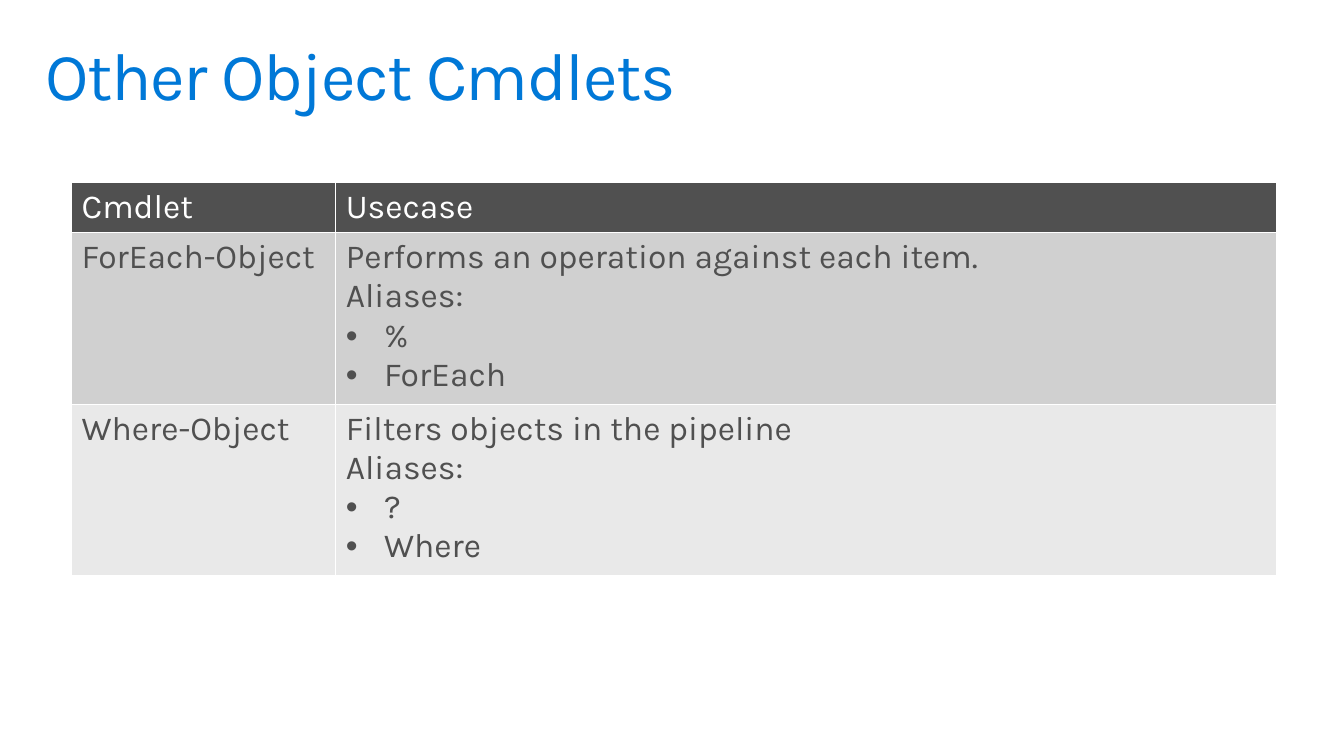
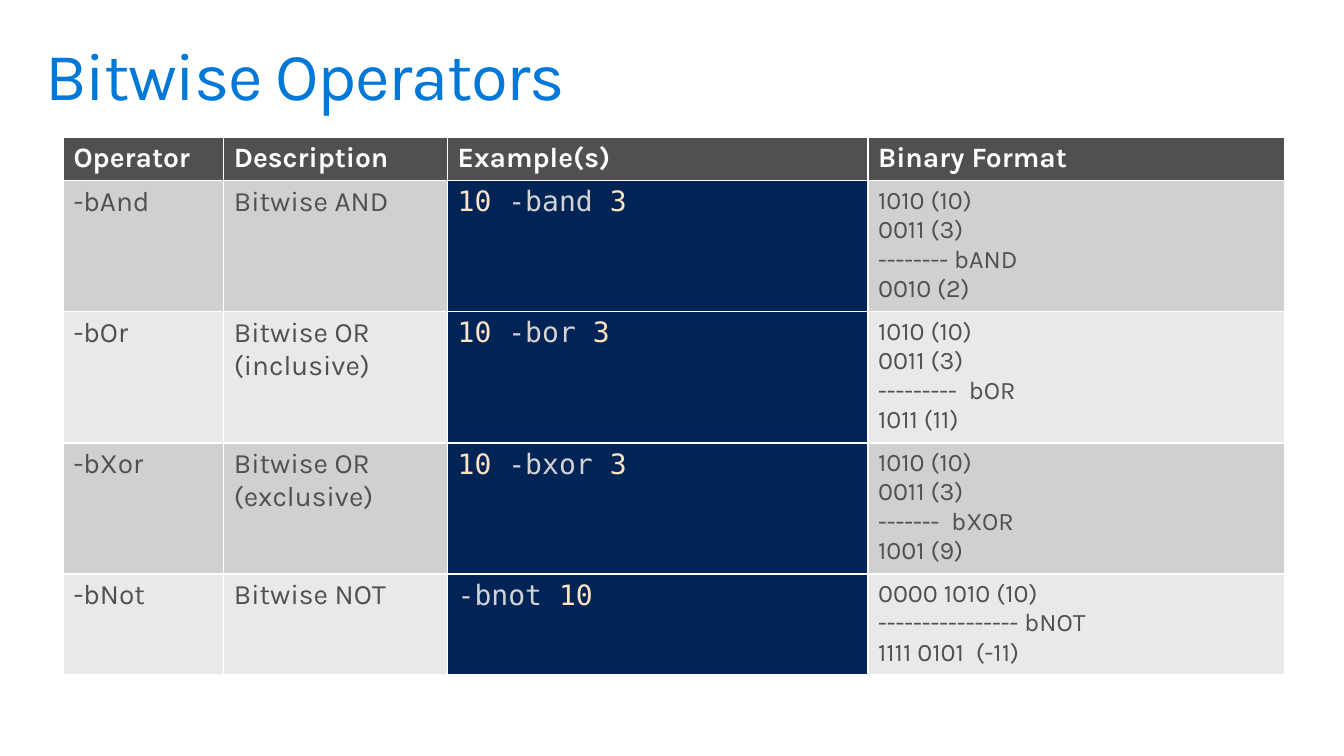
from dataclasses import dataclass

from lxml import etree
from pptx import Presentation
from pptx.dml.color import RGBColor
from pptx.enum.text import MSO_ANCHOR
from pptx.oxml.ns import qn
from pptx.util import Inches, Pt

TOP = MSO_ANCHOR.TOP
SANS, MONO = "Karla", "DejaVu Sans Mono"
WHITE, BLUE, GRAY = "FFFFFF", "0078D7", "505050"
BANDS = ("D0D0D0", "E9E9E9")
CONSOLE, NUMBER, OPERATOR = "012456", "FFE4C4", "D3D3D3"
BULLET = "• "


@dataclass(frozen=True)
class Column:
    heading: str
    width: float
    size: int
    code: bool = False


@dataclass(frozen=True)
class TablePage:
    title: str
    left: float
    top: float
    header_size: int
    header_bold: bool
    columns: tuple[Column, ...]
    heights: tuple[float, ...]
    rows: tuple[tuple[str, ...], ...]


PAGES = (
    TablePage(
        "Other Object Cmdlets", 0.71, 1.81, 24, False,
        (Column("Cmdlet", 2.62, 24), Column("Usecase", 9.33, 24)),
        (0.48, 1.65, 1.65),
        (
            ("ForEach-Object",
             "Performs an operation against each item.\nAliases:\n• %\n• ForEach"),
            ("Where-Object",
             "Filters objects in the pipeline\nAliases:\n• ?\n• Where"),
        ),
    ),
    TablePage(
        "Bitwise Operators", 0.63, 1.36, 20, True,
        (
            Column("Operator", 1.59, 20),
            Column("Description", 2.22, 20),
            Column("Example(s)", 4.17, 20, code=True),
            Column("Binary Format", 4.13, 18),
        ),
        (0.41, 1.27, 1.27, 1.27, 0.97),
        (
            ("-bAnd", "Bitwise AND", "10 -band 3",
             "1010 (10)\n0011 (3)\n-------- bAND\n0010 (2)"),
            ("-bOr", "Bitwise OR (inclusive)", "10 -bor 3",
             "1010 (10)\n0011 (3)\n---------  bOR\n1011 (11)"),
            ("-bXor", "Bitwise OR (exclusive)", "10 -bxor 3",
             "1010 (10)\n0011 (3)\n-------  bXOR\n1001 (9)"),
            ("-bNot", "Bitwise NOT", "-bnot 10",
             "0000 1010 (10)\n---------------- bNOT\n1111 0101  (-11)"),
        ),
    ),
)


def color(value: str) -> RGBColor:
    return RGBColor.from_string(value)


def style(span, size: int, ink: str, face: str = SANS, bold: bool = False) -> None:
    span.font.size = Pt(size)
    span.font.name = face
    span.font.bold = bold
    span.font.color.rgb = color(ink)


def add_title(page, title: str) -> None:
    box = page.shapes.add_textbox(Inches(0.29), Inches(0.32), Inches(12.75), Inches(0.98))
    frame = box.text_frame
    frame.word_wrap = True
    frame.vertical_anchor = TOP
    frame.margin_left = frame.margin_right = Inches(0.16)
    frame.margin_top = frame.margin_bottom = Inches(0.1)
    frame.text = title
    para = frame.paragraphs[0]
    para.line_spacing = 0.9
    span = para.runs[0]
    style(span, 48, BLUE)
    span.font._element.set("spc", "-100")


def paint_cell(cell, fill: str) -> None:
    properties = cell._tc.get_or_add_tcPr()
    for side in ("lnL", "lnR", "lnT", "lnB"):
        line = etree.SubElement(properties, qn(f"a:{side}"), w=str(Pt(1)))
        solid = etree.SubElement(line, qn("a:solidFill"))
        etree.SubElement(solid, qn("a:srgbClr"), val=WHITE)
    cell.fill.solid()
    cell.fill.fore_color.rgb = color(fill)


def add_bullet(para) -> None:
    properties = para._p.get_or_add_pPr()
    indent = Inches(0.38)
    properties.set("marL", str(indent))
    properties.set("indent", str(-indent))
    etree.SubElement(properties, qn("a:buFont"), typeface="Arial")
    etree.SubElement(properties, qn("a:buChar"), char=BULLET.strip())


def write_text(cell, text: str, size: int, ink: str, bold: bool = False) -> None:
    cell.text_frame.text = text
    for para in cell.text_frame.paragraphs:
        if para.text.startswith(BULLET):
            para.text = para.text.removeprefix(BULLET)
            add_bullet(para)
        style(para.runs[0], size, ink, bold=bold)


def write_code(cell, code: str, size: int) -> None:
    para = cell.text_frame.paragraphs[0]
    tokens = code.split(" ")
    for index, token in enumerate(tokens):
        span = para.add_run()
        span.text = token if index == len(tokens) - 1 else f"{token} "
        style(span, size, OPERATOR if token.startswith("-") else NUMBER, MONO)


def add_grid(page, content: TablePage) -> None:
    columns = content.columns
    table = page.shapes.add_table(
        len(content.heights), len(columns),
        Inches(content.left), Inches(content.top),
        Inches(sum(column.width for column in columns)), Inches(sum(content.heights)),
    ).table
    for row, height in zip(table.rows, content.heights):
        row.height = Inches(height)
    for index, column in enumerate(columns):
        table.columns[index].width = Inches(column.width)
        header = table.cell(0, index)
        paint_cell(header, GRAY)
        write_text(header, column.heading, content.header_size, WHITE, content.header_bold)
        for number, values in enumerate(content.rows):
            cell = table.cell(number + 1, index)
            if column.code:
                paint_cell(cell, CONSOLE)
                write_code(cell, values[index], column.size)
            else:
                paint_cell(cell, BANDS[number % 2])
                write_text(cell, values[index], column.size, GRAY)


def main() -> None:
    deck = Presentation()
    deck.slide_width = Inches(13.33)
    deck.slide_height = Inches(7.5)
    for content in PAGES:
        page = deck.slides.add_slide(deck.slide_layouts[6])
        add_title(page, content.title)
        add_grid(page, content)
    deck.save("out.pptx")


if __name__ == "__main__":
    main()
